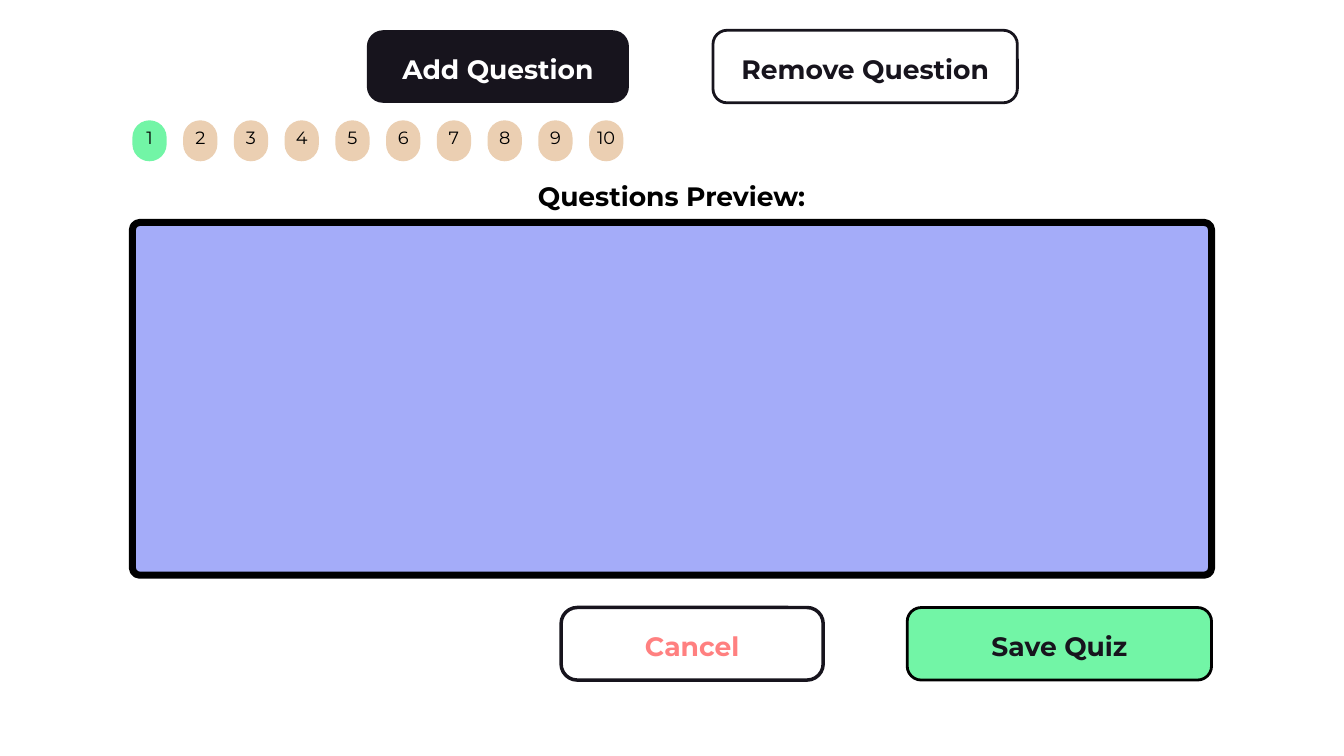
from typing import NamedTuple, Optional

from pptx import Presentation
from pptx import util as u
from pptx.dml.color import RGBColor
from pptx.enum import shapes, text
from pptx.slide import Slide

FONT = "Montserrat"
BLACK = RGBColor(0x00, 0x00, 0x00)
WHITE = RGBColor(0xFF, 0xFF, 0xFF)
INK = RGBColor(0x17, 0x14, 0x1D)
GREEN = RGBColor(0x72, 0xF5, 0xA6)
SAND = RGBColor(0xEB, 0xCF, 0xB2)
LAVENDER = RGBColor(0xA4, 0xAC, 0xF9)
CORAL = RGBColor(0xFF, 0x80, 0x80)

LINE_SPACING = 1.4
HEADING_SIZE = 28.5
NUMBER_SIZE = 19
LABEL_HEIGHT = 0.52

BUTTON_HEIGHT = 1.08
LABEL_DROP = 0.26

CHIP_COUNT = 10
CHIP_LEFT, CHIP_TOP = 1.97, 1.79
CHIP_WIDTH, CHIP_HEIGHT = 0.51, 0.61
CHIP_STEP = 0.755
CHIP_TEXT_RISE = 0.16
CHIP_INSET = 0.06


class Box(NamedTuple):
    left: float
    top: float
    width: float
    height: float


class Outline(NamedTuple):
    color: RGBColor
    points: float


class Button(NamedTuple):
    label: str
    left: float
    top: float
    width: float
    label_inset: float
    radius: float
    text_color: RGBColor
    fill: Optional[RGBColor]
    outline: Optional[Outline]


BUTTONS = [
    Button("Cancel", 8.35, 9.04, 3.9, 0.48, 0.24, CORAL, None, Outline(INK, 3.75)),
    Button("Save Quiz", 13.5, 9.04, 4.53, 0.36, 0.21, INK, GREEN, Outline(BLACK, 3)),
    Button("Add Question", 5.46, 0.45, 3.9, 0.48, 0.24, WHITE, INK, None),
    Button("Remove Question", 10.61, 0.45, 4.53, 0.36, 0.21, INK, None, Outline(INK, 3)),
]


def add_panel(slide: Slide, box: Box, radius: float,
              fill: Optional[RGBColor], outline: Optional[Outline]) -> None:
    shape = slide.shapes.add_shape(
        shapes.MSO_SHAPE.ROUNDED_RECTANGLE, *(u.Inches(length) for length in box))
    shape.shadow.inherit = False
    shape.adjustments[0] = radius / min(box.width, box.height)
    if fill is None:
        shape.fill.background()
    else:
        shape.fill.solid()
        shape.fill.fore_color.rgb = fill
    if outline is None:
        shape.line.fill.background()
    else:
        shape.line.color.rgb = outline.color
        shape.line.width = u.Pt(outline.points)


def add_label(slide: Slide, box: Box, label: str, size: float, color: RGBColor,
              bold: bool = True, inset: float = 0,
              anchor: text.MSO_ANCHOR = text.MSO_ANCHOR.TOP) -> None:
    shape = slide.shapes.add_textbox(*(u.Inches(length) for length in box))
    frame = shape.text_frame
    frame.word_wrap = True
    frame.vertical_anchor = anchor
    frame.margin_left = frame.margin_right = u.Inches(inset)
    frame.margin_top = frame.margin_bottom = u.Inches(inset)
    frame.text = label
    paragraph = frame.paragraphs[0]
    paragraph.alignment = text.PP_ALIGN.CENTER
    paragraph.line_spacing = u.Pt(size * LINE_SPACING)
    font = paragraph.runs[0].font
    font.name = FONT
    font.size = u.Pt(size)
    font.bold = bold
    font.color.rgb = color


def add_button(slide: Slide, button: Button) -> None:
    box = Box(button.left, button.top, button.width, BUTTON_HEIGHT)
    add_panel(slide, box, button.radius, button.fill, button.outline)
    label_box = Box(button.left + button.label_inset, button.top + LABEL_DROP,
                    button.width - 2 * button.label_inset, LABEL_HEIGHT)
    add_label(slide, label_box, button.label, HEADING_SIZE, button.text_color)


def add_chip(slide: Slide, index: int) -> None:
    left = CHIP_LEFT + index * CHIP_STEP
    add_panel(slide, Box(left, CHIP_TOP, CHIP_WIDTH, CHIP_HEIGHT), CHIP_WIDTH / 2,
              GREEN if index == 0 else SAND, None)
    label_box = Box(left, CHIP_TOP - CHIP_TEXT_RISE, CHIP_WIDTH, CHIP_HEIGHT + CHIP_TEXT_RISE)
    add_label(slide, label_box, str(index + 1), NUMBER_SIZE, BLACK, bold=False,
              inset=CHIP_INSET, anchor=text.MSO_ANCHOR.MIDDLE)


def main() -> None:
    presentation = Presentation()
    presentation.slide_width = u.Inches(20)
    presentation.slide_height = u.Inches(11.25)
    slide = presentation.slides.add_slide(presentation.slide_layouts[6])

    # Preview area and its heading
    add_panel(slide, Box(1.97, 3.31, 16.06, 5.25), 0.11, LAVENDER, Outline(BLACK, 7.5))
    add_label(slide, Box(7.73, 2.6, 4.53, LABEL_HEIGHT), "Questions Preview:",
              HEADING_SIZE, BLACK)

    # Action buttons
    for button in BUTTONS:
        add_button(slide, button)

    # Question numbers, the first one selected
    for index in range(CHIP_COUNT):
        add_chip(slide, index)

    presentation.save("out.pptx")


if __name__ == "__main__":
    main()
